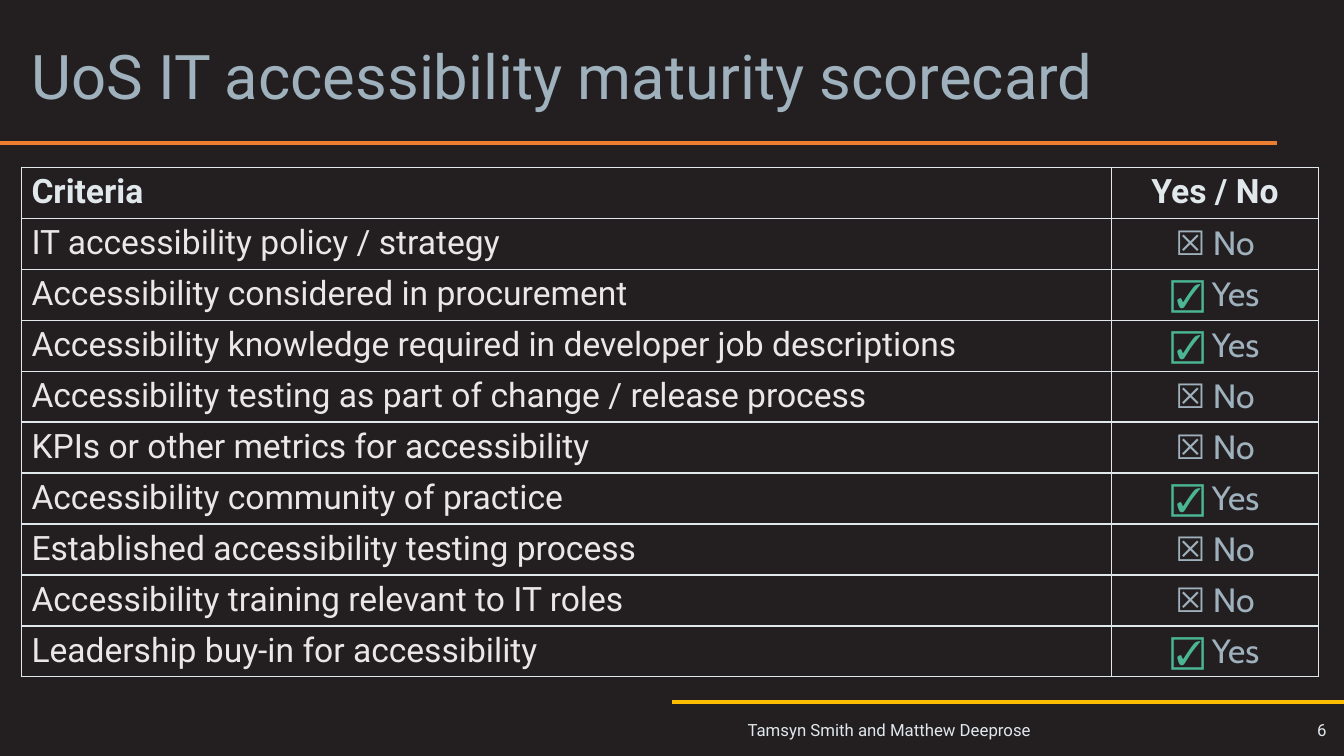
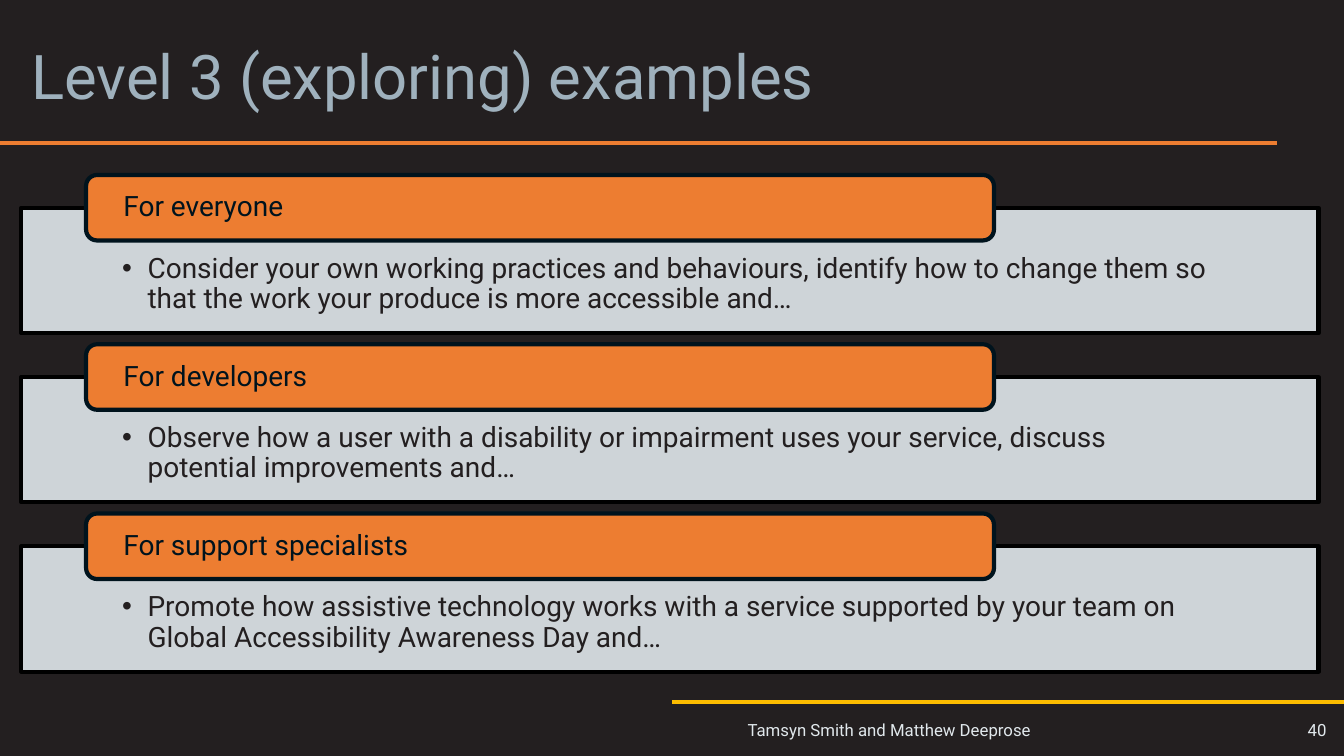
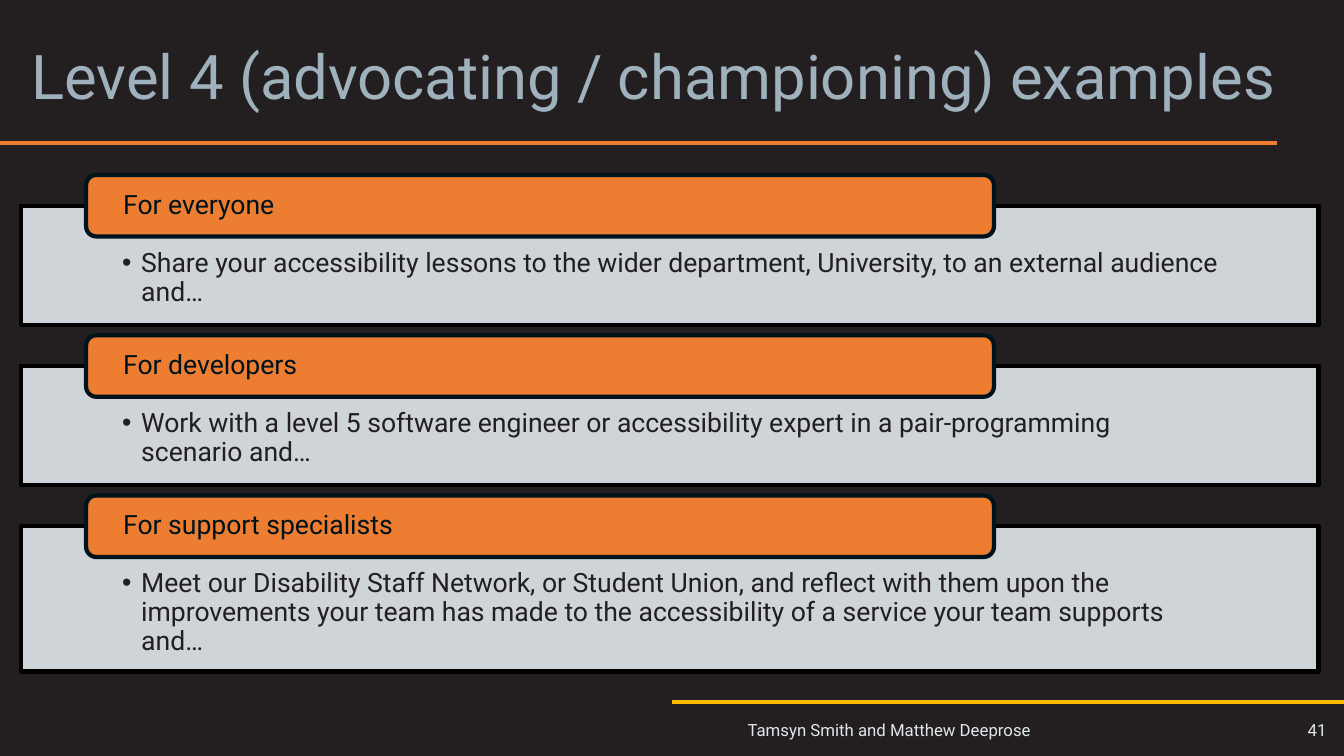
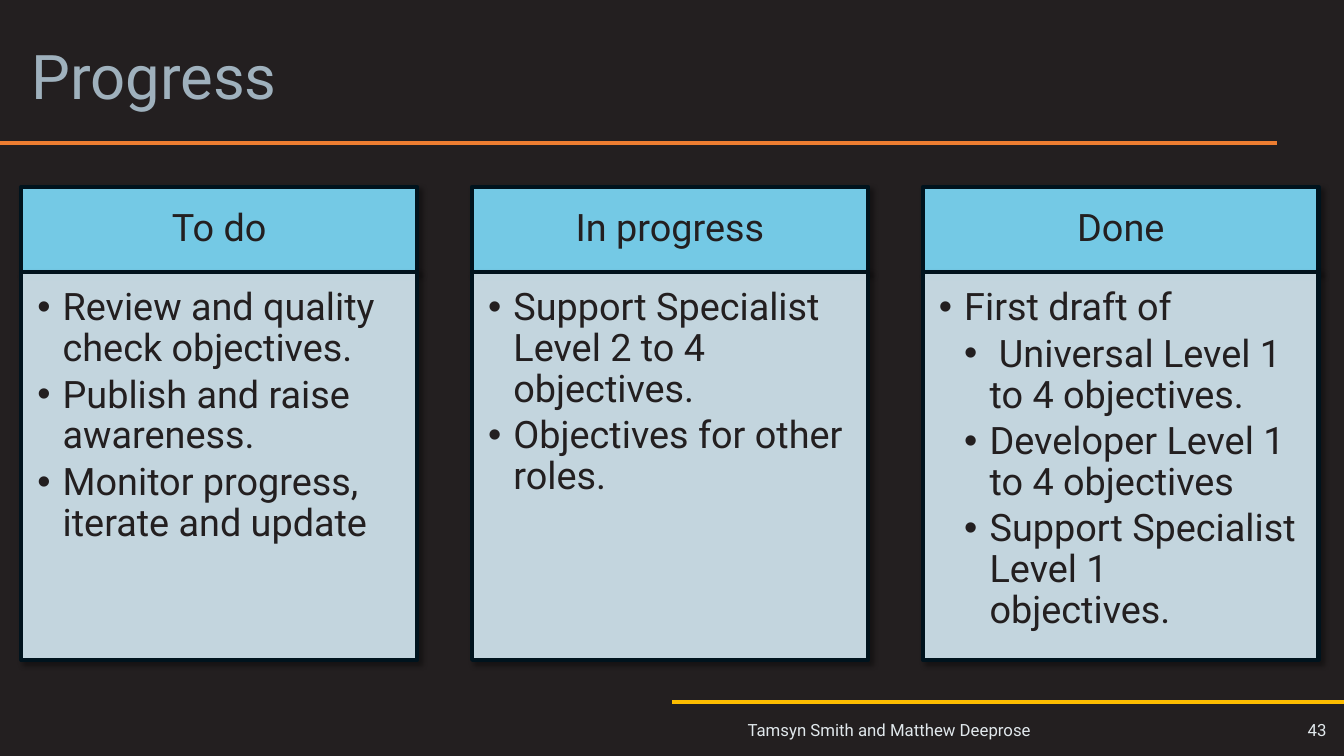
from lxml.etree import SubElement as Sub
from pptx import Presentation
from pptx.dml.color import RGBColor
from pptx.enum.shapes import MSO_CONNECTOR as Conn, MSO_SHAPE as Kind
from pptx.enum.text import MSO_ANCHOR as Anchor, MSO_AUTO_SIZE as Auto, PP_ALIGN as Align
from pptx.oxml.ns import qn
from pptx.oxml.xmlchemy import OxmlElement as Node
from pptx.util import Cm, Pt

WIDE, HIGH = 33.87, 19.05
LEFT, SPAN = 0.54, 32.69
RULE = 3.61
SANS, SIGN = "Roboto", "Cabin"
DARK, NAVY, BLACK = "231F20", "00131D", "000000"
MIST, PALE, SLATE = "E1E8EC", "EAE7E8", "9FB1BD"
RUST, GOLD, GREEN = "ED7D31", "FCBC00", "4BB694"
SKY, ICE = "74C9E5", "D6EBF5"
AUTHOR = "Tamsyn Smith and Matthew Deeprose"

GOALS = [
    ("IT accessibility policy / strategy", False),
    ("Accessibility considered in procurement", True),
    ("Accessibility knowledge required in developer job descriptions", True),
    ("Accessibility testing as part of change / release process", False),
    ("KPIs or other metrics for accessibility", False),
    ("Accessibility community of practice", True),
    ("Established accessibility testing process", False),
    ("Accessibility training relevant to IT roles", False),
    ("Leadership buy-in for accessibility", True),
]
ROLES = ["For everyone", "For developers", "For support specialists"]
EXPLORE = [
    "Consider your own working practices and behaviours, identify how to change them so "
    "that the work your produce is more accessible and…",
    "Observe how a user with a disability or impairment uses your service, discuss "
    "potential improvements and…",
    "Promote how assistive technology works with a service supported by your team on "
    "Global Accessibility Awareness Day and…",
]
CHAMPION = [
    "Share your accessibility lessons to the wider department, University, to an external "
    "audience and…",
    "Work with a level 5 software engineer or accessibility expert in a pair-programming "
    "scenario and…",
    "Meet our Disability Staff Network, or Student Union, and reflect with them upon the "
    "improvements your team has made to the accessibility of a service your team supports and…",
]
BOARD = [
    ("To do", [(1, "Review and quality check objectives."),
               (1, "Publish and raise awareness."),
               (1, "Monitor progress, iterate and update")]),
    ("In progress", [(1, "Support Specialist Level 2 to 4 objectives."),
                     (1, "Objectives for other roles.")]),
    ("Done", [(1, "First draft of"),
              (2, " Universal Level 1 to 4 objectives."),
              (2, "Developer Level 1 to 4 objectives"),
              (2, "Support Specialist Level 1 objectives.")]),
]


def tint(code):
    """Turn a hex string into a colour."""
    return RGBColor.from_string(code)


def style(item, **vals):
    """Set each named attribute on an item."""
    for name, val in vals.items():
        setattr(item, name, val)


def box(x, y, wide, high):
    """Return a frame in centimetres as lengths."""
    return Cm(x), Cm(y), Cm(wide), Cm(high)


def write(para, text, size, color, font=SANS, bold=False):
    """Add one formatted run to a paragraph."""
    run = para.add_run()
    run.text = text
    style(run.font, size=Pt(size), name=font, bold=bold)
    run.font.color.rgb = tint(color)


def bullet(para, indent, depth=1):
    """Give a paragraph a hanging bullet."""
    para.level = depth - 1
    props = para._p.get_or_add_pPr()
    props.set("marL", str(Cm(indent * depth)))
    props.set("indent", str(-Cm(indent)))
    Sub(props, qn("a:buFont"), typeface="Arial")
    Sub(props, qn("a:buChar"), char="•")


def setup(frame, pads, anchor):
    """Set the wrap, insets and anchor of a text frame."""
    sides = ("margin_left", "margin_top", "margin_right", "margin_bottom")
    style(frame, word_wrap=True, auto_size=Auto.NONE, vertical_anchor=anchor,
          **{side: Cm(pad) for side, pad in zip(sides, pads)})


def fill(shape, items, size, color, pads, indent=0, anchor=Anchor.TOP, align=Align.LEFT):
    """Write (depth, text) items into a shape, bulleted when indented."""
    frame = shape.text_frame
    setup(frame, pads, anchor)
    for spot, (depth, text) in enumerate(items):
        para = frame.add_paragraph() if spot else frame.paragraphs[0]
        if indent:
            bullet(para, indent, depth)
        style(para, alignment=align, line_spacing=0.9, space_after=Pt(4))
        write(para, text, size, color)


def panel(slide, kind, area, color, edge, alpha=100, shade=False):
    """Draw an outlined shape, see-through or shaded if asked."""
    shape = slide.shapes.add_shape(kind, *box(*area))
    shape.shadow.inherit = False
    shape.fill.solid()
    shape.fill.fore_color.rgb = tint(color)
    shape.line.color.rgb = tint(edge)
    shape.line.width = Pt(3)
    props = shape._element.spPr
    if alpha < 100:
        hue = props.find(qn("a:solidFill")).find(qn("a:srgbClr"))
        Sub(hue, qn("a:alpha"), val=str(alpha * 1000))
    if shade:
        cast = Sub(props.find(qn("a:effectLst")), qn("a:outerShdw"), blurRad=str(Pt(4)),
                   dist=str(Pt(3)), dir="2700000", algn="tl", rotWithShape="0")
        hue = Sub(cast, qn("a:srgbClr"), val=BLACK)
        Sub(hue, qn("a:alpha"), val="40000")
    return shape


def rule(slide, start, end, y, color):
    """Draw a level line."""
    line = slide.shapes.add_connector(Conn.STRAIGHT, Cm(start), Cm(y), Cm(end), Cm(y))
    line.line.color.rgb = tint(color)
    line.line.width = Pt(3)
    line._element.spPr.append(Node("a:effectLst"))


def note(slide, x, wide, text, align):
    """Add a small footer text."""
    area = slide.shapes.add_textbox(*box(x, 17.88, wide, 1.04))
    setup(area.text_frame, (0.25, 0.13, 0.25, 0.13), Anchor.MIDDLE)
    para = area.text_frame.paragraphs[0]
    para.alignment = align
    write(para, text, 12, MIST)


def start(deck, title, page):
    """Add a slide with its title, rules and footer."""
    slide = deck.slides.add_slide(deck.slide_layouts[5])
    rule(slide, 0, 32.18, RULE, RUST)
    rule(slide, WIDE / 2, WIDE, 17.68, GOLD)
    head = slide.shapes.title
    style(head, **dict(zip(("left", "top", "width", "height"), box(LEFT, 0.41, SPAN, 3.2))))
    setup(head.text_frame, (0.25, 0.13, 0.25, 0.13), Anchor.MIDDLE)
    para = head.text_frame.paragraphs[0]
    style(para, alignment=Align.LEFT, line_spacing=0.9)
    write(para, title, 44, SLATE)
    note(slide, 18.59, 11.94, AUTHOR, Align.LEFT)
    note(slide, 31.17, 2.51, str(page), Align.RIGHT)
    return slide


def border(cell):
    """Clear a cell and line its four sides."""
    cell.fill.background()
    props = cell._tc.get_or_add_tcPr()
    for spot, side in enumerate("LRTB"):
        line = Node(f"a:ln{side}")
        line.set("w", str(Pt(1)))
        Sub(Sub(line, qn("a:solidFill")), qn("a:srgbClr"), val=MIST)
        props.insert(spot, line)


def score(slide):
    """Draw the table of criteria and answers."""
    count, row = len(GOALS) + 1, 1.28
    area = box(LEFT, 4.22, SPAN, row * count)
    table = slide.shapes.add_table(count, 2, *area).table
    style(table, first_row=False, horz_banding=False)
    for col, wide in zip(table.columns, (27.47, 5.22)):
        col.width = Cm(wide)
    for line in table.rows:
        line.height = Cm(row)
    for cell in table.iter_cells():
        border(cell)
    pairs = [[table.cell(spot, col).text_frame.paragraphs[0] for col in (0, 1)]
             for spot in range(count)]
    for para, text in zip(pairs[0], ("Criteria", "Yes / No")):
        write(para, text, 24, MIST, bold=True)
    for (goal, reply), (text, done) in zip(pairs[1:], GOALS):
        write(goal, text, 24, PALE)
        if done:
            write(reply, "☑ ", 24, GREEN, SIGN)
        write(reply, "Yes" if done else "☒ No", 24, SLATE, SIGN)
    for _, reply in pairs:
        reply.alignment = Align.CENTER


def bands(slide, texts, size, tab, highs, indent):
    """Stack bands, each with a role tab over its top edge."""
    y = 4.41 + tab / 2
    for role, text, high in zip(ROLES, texts, highs):
        band = panel(slide, Kind.RECTANGLE, (LEFT, y, SPAN, high), MIST, BLACK, 90)
        fill(band, [(1, text)], size, DARK, (2.54, tab * 0.71, 2.54, 0.4), indent)
        label = panel(slide, Kind.ROUNDED_RECTANGLE, (2.17, y - tab / 2, 22.88, tab), RUST, NAVY)
        fill(label, [(1, role)], size, NAVY, (0.86, 0, 0.86, 0), anchor=Anchor.MIDDLE)
        y += high + tab * 0.67


def board(slide):
    """Draw the columns of the progress board."""
    wide, top, head = 9.97, 4.71, 2.15
    step = (SPAN - wide) / (len(BOARD) - 1)
    for spot, (name, tasks) in enumerate(BOARD):
        x = LEFT + spot * step
        cap = panel(slide, Kind.RECTANGLE, (x, top, wide, head), SKY, NAVY, shade=True)
        fill(cap, [(1, name)], 27, DARK, (0.53, 0.3, 0.53, 0.3),
             anchor=Anchor.MIDDLE, align=Align.CENTER)
        body = panel(slide, Kind.RECTANGLE, (x, top + head, wide, 9.77), ICE, NAVY, 90, True)
        fill(body, tasks, 27, DARK, (0.4, 0.4, 0.53, 0.6), 0.64)


def main():
    """Build and save the deck."""
    deck = Presentation()
    style(deck, slide_width=Cm(WIDE), slide_height=Cm(HIGH))
    back = deck.slide_master.background.fill
    back.solid()
    back.fore_color.rgb = tint(DARK)
    score(start(deck, "UoS IT accessibility maturity scorecard", 6))
    bands(start(deck, "Level 3 (exploring) examples", 40),
          EXPLORE, 20, 1.65, (3.16, 3.16, 3.16), 0.64)
    bands(start(deck, "Level 4 (advocating / championing) examples", 41),
          CHAMPION, 19, 1.55, (3, 3, 3.66), 0.48)
    board(start(deck, "Progress", 43))
    deck.save("out.pptx")


if __name__ == "__main__":
    main()
